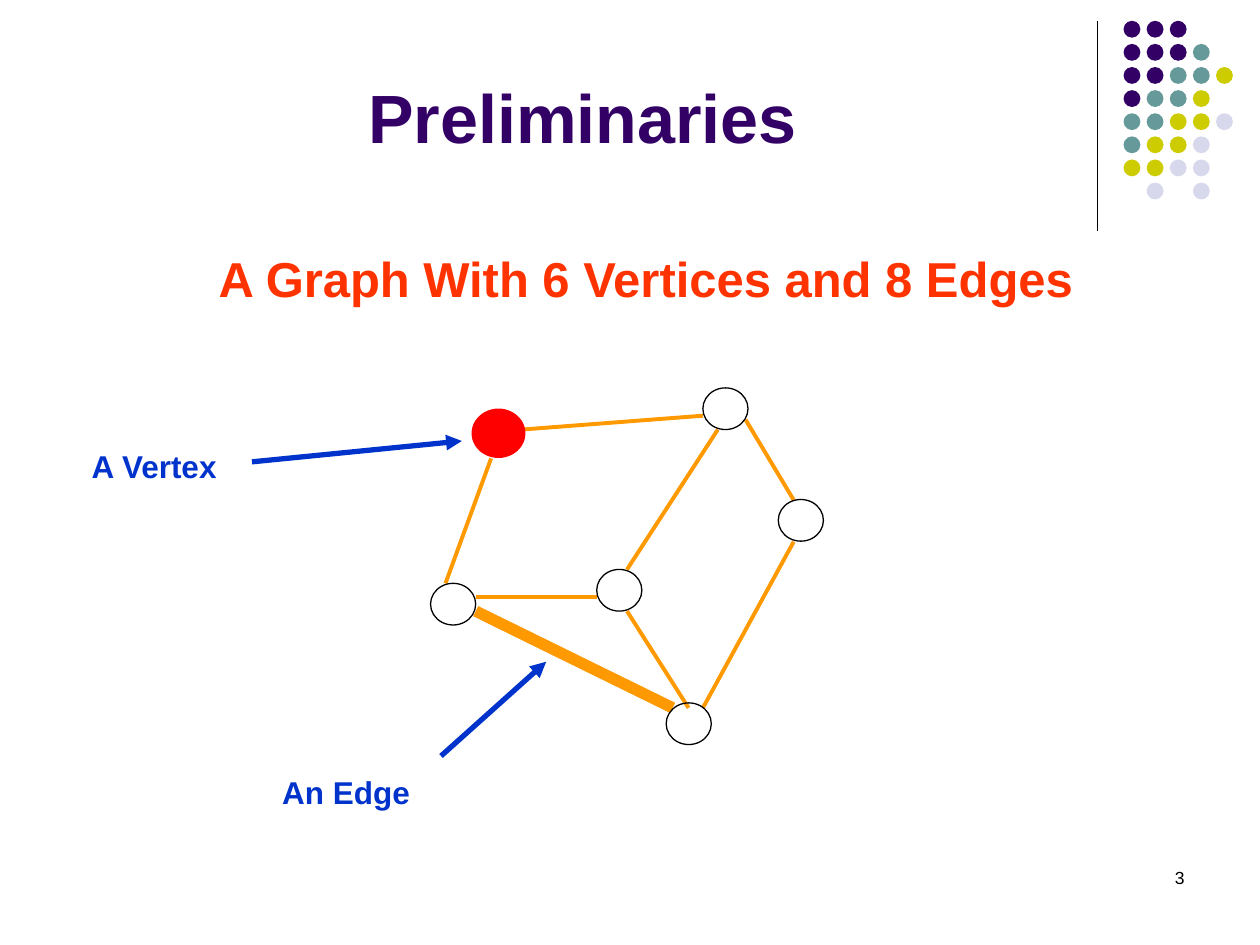
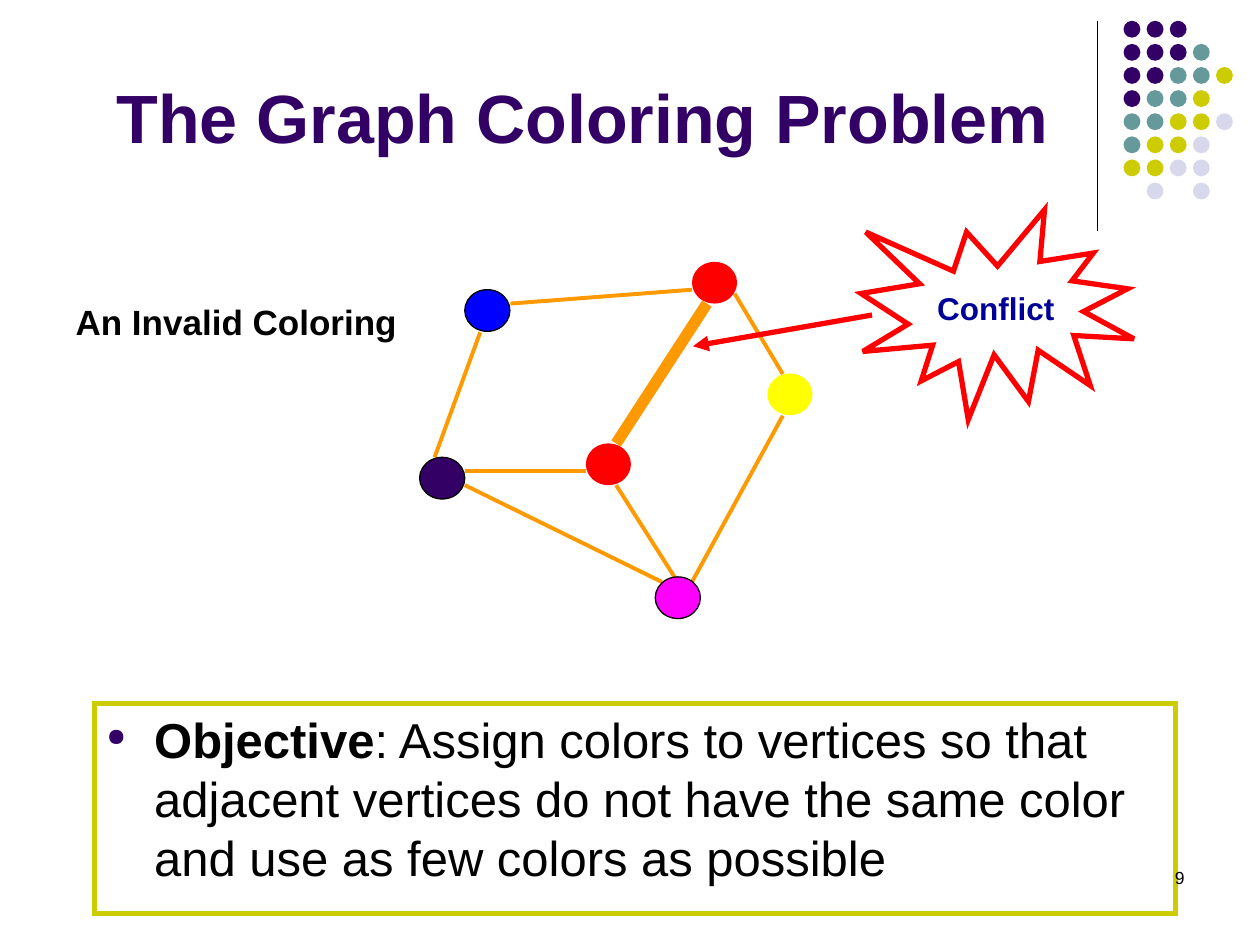
from lxml import etree
from pptx import Presentation
from pptx.dml.color import RGBColor
from pptx.enum import shapes, text
from pptx.oxml.ns import qn
from pptx.util import Cm, Pt

FONT = "Arial"
COLORS = {
    "purple": "330066", "teal": "669999", "olive": "CCCC00", "lilac": "D8D8EC",
    "orange": "FF9900", "red": "FF0000", "heading": "FF3300", "label": "0033CC",
    "navy": "000099", "blue": "0000FF", "yellow": "FFFF00", "magenta": "FF00FF",
    "black": "000000",
}
DOT_KEYS = {"P": "purple", "T": "teal", "Y": "olive", "L": "lilac"}
DOT_ROWS = ["PPP", "PPPT", "PPTTY", "PTTY", "TTYYL", "TYYL", "YYLL", " L L"]

# Graph geometry in cm, relative to the graph's top left corner
VERTEX_SIZE = (0.91, 0.84)
VERTICES = {
    "upper left": (0.91, 0.56), "top": (5.49, 0), "right": (7.01, 2.25),
    "middle": (3.35, 3.66), "left": (0, 3.94), "bottom": (4.75, 6.35),
}
EDGES = {
    ("left", "bottom"): (0.91, 4.5, 4.88, 6.45),
    ("left", "middle"): (0.91, 4.22, 3.35, 4.22),
    ("middle", "bottom"): (3.96, 4.5, 5.2, 6.45),
    ("bottom", "right"): (5.49, 6.45, 7.32, 3.1),
    ("upper left", "left"): (1.22, 1.42, 0.3, 3.94),
    ("upper left", "top"): (1.83, 0.84, 5.49, 0.56),
    ("top", "right"): (6.35, 0.64, 7.32, 2.26),
    ("middle", "top"): (3.96, 3.66, 5.79, 0.84),
}


def rgb(name):
    return RGBColor.from_string(COLORS[name])


def add_line(s, x1, y1, x2, y2, color, width, arrow=False):
    line = s.shapes.add_connector(
        shapes.MSO_CONNECTOR.STRAIGHT, Cm(x1), Cm(y1), Cm(x2), Cm(y2))
    line.line.color.rgb = rgb(color)
    line.line.width = Pt(width)
    if arrow:
        etree.SubElement(line.line._get_or_add_ln(), qn("a:tailEnd"), type="triangle")
    etree.SubElement(line._element.spPr, qn("a:effectLst"))


def add_figure(parent, kind, box, fill=None, line=None, width=0.75):
    sp = parent.shapes.add_shape(kind, *map(Cm, box))
    sp.shadow.inherit = False
    if fill:
        sp.fill.solid()
        sp.fill.fore_color.rgb = rgb(fill)
    else:
        sp.fill.background()
    if line:
        sp.line.color.rgb = rgb(line)
        sp.line.width = Pt(width)
        etree.SubElement(sp.line._get_or_add_ln(), qn("a:miter"), lim="800000")
    else:
        sp.line.fill.background()
    return sp


def write(sp, runs, size, color, align=text.PP_ALIGN.LEFT,
          anchor=text.MSO_ANCHOR.TOP, wrap=True):
    """Fill a shape with one paragraph of (words, bold) runs."""
    tf = sp.text_frame
    tf.word_wrap = wrap
    tf.vertical_anchor = anchor
    p = tf.paragraphs[0]
    p.alignment = align
    for words, bold in runs:
        r = p.add_run()
        r.text = words
        r.font.name = FONT
        r.font.size = Pt(size)
        r.font.bold = bold
        r.font.color.rgb = rgb(color)
    return p


def add_label(s, box, words, size, color, bold=True, **layout):
    sp = s.shapes.add_textbox(*map(Cm, box))
    write(sp, [(words, bold)], size, color, **layout)


def add_dots(s, left, top):
    step, size = 0.466, 0.34
    group = s.shapes.add_group_shape()
    for row, keys in enumerate(DOT_ROWS):
        for col, key in enumerate(keys):
            if key in DOT_KEYS:
                box = (left + col * step, top + row * step, size, size)
                add_figure(group, shapes.MSO_SHAPE.OVAL, box, DOT_KEYS[key])


def add_base_slide(prs, title):
    s = prs.slides.add_slide(prs.slide_layouts[6])
    add_line(s, 22.12, 0.43, 22.12, 4.65, "black", 0.75)
    add_dots(s, 22.65, 0.42)
    add_label(s, (1.27, 1.27, 20.96, 2.03), title, 39, "purple",
              align=text.PP_ALIGN.CENTER, anchor=text.MSO_ANCHOR.BOTTOM)
    return s


def add_number(s, number):
    add_label(s, (18.2, 17.36, 5.93, 1.27), number, 10, "black", bold=False,
              align=text.PP_ALIGN.RIGHT)


def add_graph(s, left, top, styles, bold_edge, enlarged=None):
    """Draw the graph; styles maps each vertex to its (fill, line)."""
    for ends, (x1, y1, x2, y2) in EDGES.items():
        add_line(s, left + x1, top + y1, left + x2, top + y2, "orange",
                 6.5 if ends == bold_edge else 2.25)
    for name, (x, y) in VERTICES.items():
        w, h = VERTEX_SIZE
        if name == enlarged:
            x, y, w, h = x - 0.07, y - 0.13, w + 0.15, h + 0.13
        add_figure(s, shapes.MSO_SHAPE.OVAL, (left + x, top + y, w, h), *styles[name])


def preliminaries_slide(prs):
    s = add_base_slide(prs, "Preliminaries")
    add_label(s, (3.02, 4.65, 20, 1.9), "A Graph With 6 Vertices and 8 Edges",
              28, "heading", align=text.PP_ALIGN.CENTER,
              anchor=text.MSO_ANCHOR.MIDDLE)
    styles = dict.fromkeys(VERTICES, (None, "black"))
    styles["upper left"] = ("red", "red")
    add_graph(s, 8.68, 7.82, styles, ("left", "bottom"), enlarged="upper left")
    add_line(s, 5.08, 9.31, 9.31, 8.89, "label", 3, arrow=True)
    add_label(s, (1.6, 8.89, 3.53, 1.02), "A Vertex", 18, "label")
    add_line(s, 8.89, 15.24, 11.01, 13.34, "label", 3, arrow=True)
    add_label(s, (5.44, 15.45, 3.53, 1.02), "An Edge", 18, "label")
    add_number(s, "3")


def add_conflict(s, left, top):
    sp = add_figure(s, shapes.MSO_SHAPE.EXPLOSION1, (left, top, 5.5, 4.23),
                    line="red", width=3)
    write(sp, [("Conflict", True)], 18, "navy", text.PP_ALIGN.CENTER,
          text.MSO_ANCHOR.MIDDLE, wrap=False)
    add_line(s, left + 0.22, top + 2.12, left - 3.39, top + 2.75, "red", 3, arrow=True)


def add_objective(s, box):
    sp = add_figure(s, shapes.MSO_SHAPE.RECTANGLE, box, line="olive", width=3)
    p = write(sp, [
        ("Objective", True),
        (": Assign colors to vertices so that adjacent vertices do not have "
         "the same color and use as few colors as possible", False),
    ], 28, "black")
    pPr = p._p.get_or_add_pPr()
    pPr.set("marL", str(Cm(0.96)))
    pPr.set("indent", str(-Cm(0.96)))
    bullet_color = etree.SubElement(pPr, qn("a:buClr"))
    etree.SubElement(bullet_color, qn("a:srgbClr"), val=COLORS["purple"])
    etree.SubElement(pPr, qn("a:buSzPct"), val="50000")
    etree.SubElement(pPr, qn("a:buChar"), char="●")


def coloring_slide(prs):
    s = add_base_slide(prs, "The Graph Coloring Problem")
    styles = {
        "upper left": ("blue", "black"), "top": ("red", None),
        "right": ("yellow", None), "middle": ("red", None),
        "left": ("purple", "black"), "bottom": ("magenta", "black"),
    }
    add_graph(s, 8.46, 5.28, styles, ("middle", "top"))
    add_conflict(s, 17.36, 4.23)
    add_objective(s, (1.9, 14.18, 21.8, 4.23))
    add_label(s, (1.06, 5.93, 7.41, 1.11), "An Invalid Coloring", 20, "black",
              align=text.PP_ALIGN.CENTER)
    add_number(s, "9")


def main():
    prs = Presentation()
    prs.slide_width, prs.slide_height = Cm(25.4), Cm(19.05)
    preliminaries_slide(prs)
    coloring_slide(prs)
    prs.save("out.pptx")


if __name__ == "__main__":
    main()
